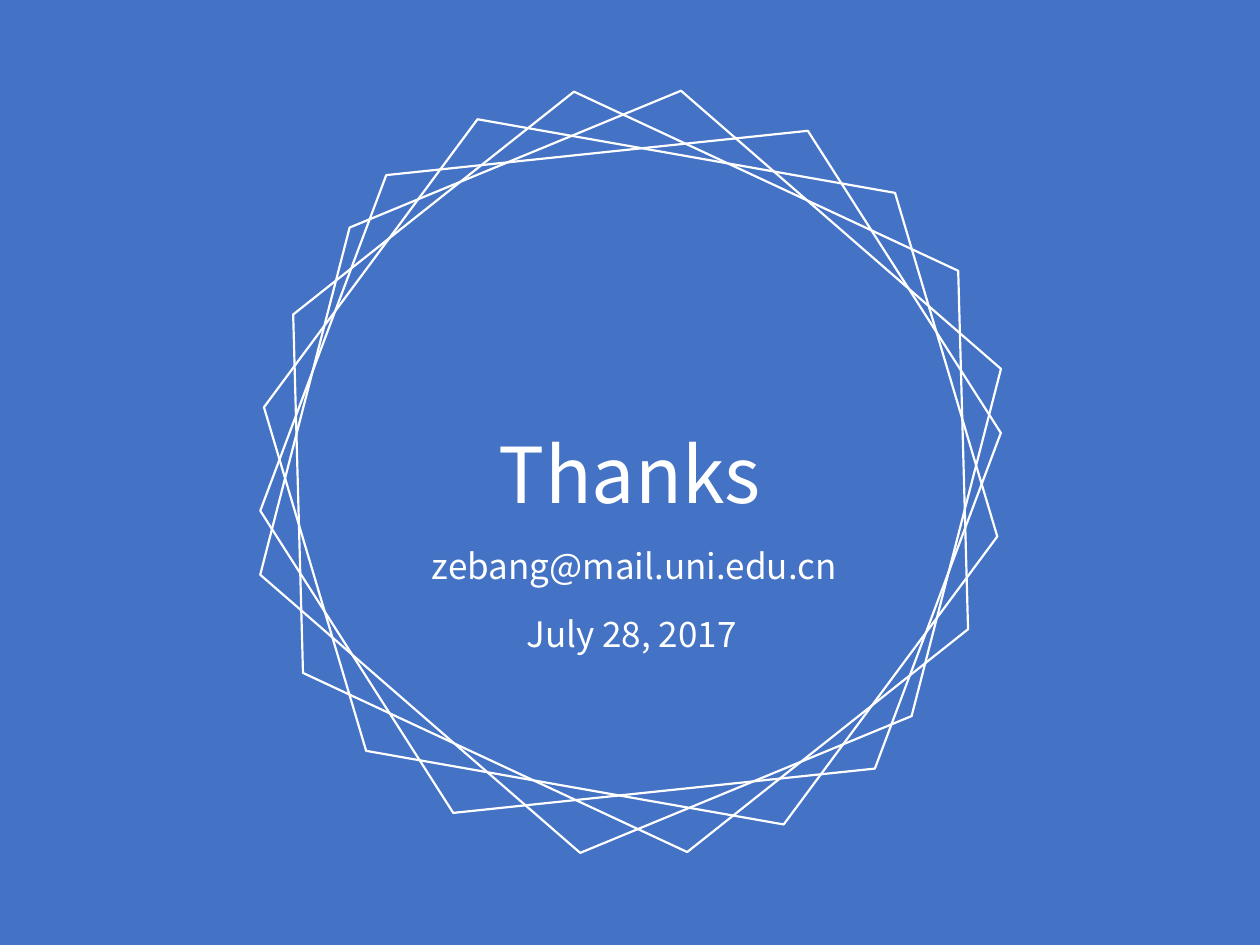
from pptx import Presentation
from pptx.dml.color import RGBColor
from pptx.enum import shapes, text
from pptx.util import Inches, Pt

BLUE = RGBColor(0x44, 0x72, 0xC4)
WHITE = RGBColor(0xFF, 0xFF, 0xFF)
FONT = "Noto Sans CJK SC"
RING_ROTATIONS = (41, 10, 25, 354)


def add_hexagon(ring, rotation):
    """Add one outlined hexagon of the ring, turned by rotation degrees."""
    hexagon = ring.shapes.add_shape(
        shapes.MSO_SHAPE.HEXAGON,
        Inches(2.05), Inches(1.2), Inches(5.91), Inches(5.09))
    hexagon.rotation = rotation
    hexagon.shadow.inherit = False
    hexagon.fill.background()
    hexagon.line.color.rgb = WHITE
    hexagon.line.width = Pt(1.25)


def add_text(slide, content, left, top, width, height, size,
             alignment=text.PP_ALIGN.LEFT, wrap=True):
    """Add a white single-line text box."""
    box = slide.shapes.add_textbox(
        Inches(left), Inches(top), Inches(width), Inches(height))
    frame = box.text_frame
    frame.word_wrap = wrap
    frame.auto_size = text.MSO_AUTO_SIZE.SHAPE_TO_FIT_TEXT
    paragraph = frame.paragraphs[0]
    paragraph.alignment = alignment
    run = paragraph.add_run()
    run.text = content
    run.font.name = FONT
    run.font.size = Pt(size)
    run.font.color.rgb = WHITE
    return box


def main():
    presentation = Presentation()
    presentation.slide_width = Inches(10)
    presentation.slide_height = Inches(7.5)
    slide = presentation.slides.add_slide(presentation.slide_layouts[6])

    # Background
    slide.background.fill.solid()
    slide.background.fill.fore_color.rgb = BLUE

    # Closing word
    title = add_text(slide, "Thanks", 3.86, 3.33, 2.28, 0.84, 44,
                     text.PP_ALIGN.CENTER, wrap=False)
    title.text_frame.vertical_anchor = text.MSO_ANCHOR.MIDDLE

    # Ring of rotated hexagons
    ring = slide.shapes.add_group_shape()
    for rotation in RING_ROTATIONS:
        add_hexagon(ring, rotation)

    # Date and contact
    add_text(slide, "July 28, 2017", 4.08, 4.81, 5.22, 0.44, 20)
    add_text(slide, "zebang@mail.uni.edu.cn", 3.33, 4.27, 5.22, 0.44, 20)

    presentation.save("out.pptx")


if __name__ == "__main__":
    main()
